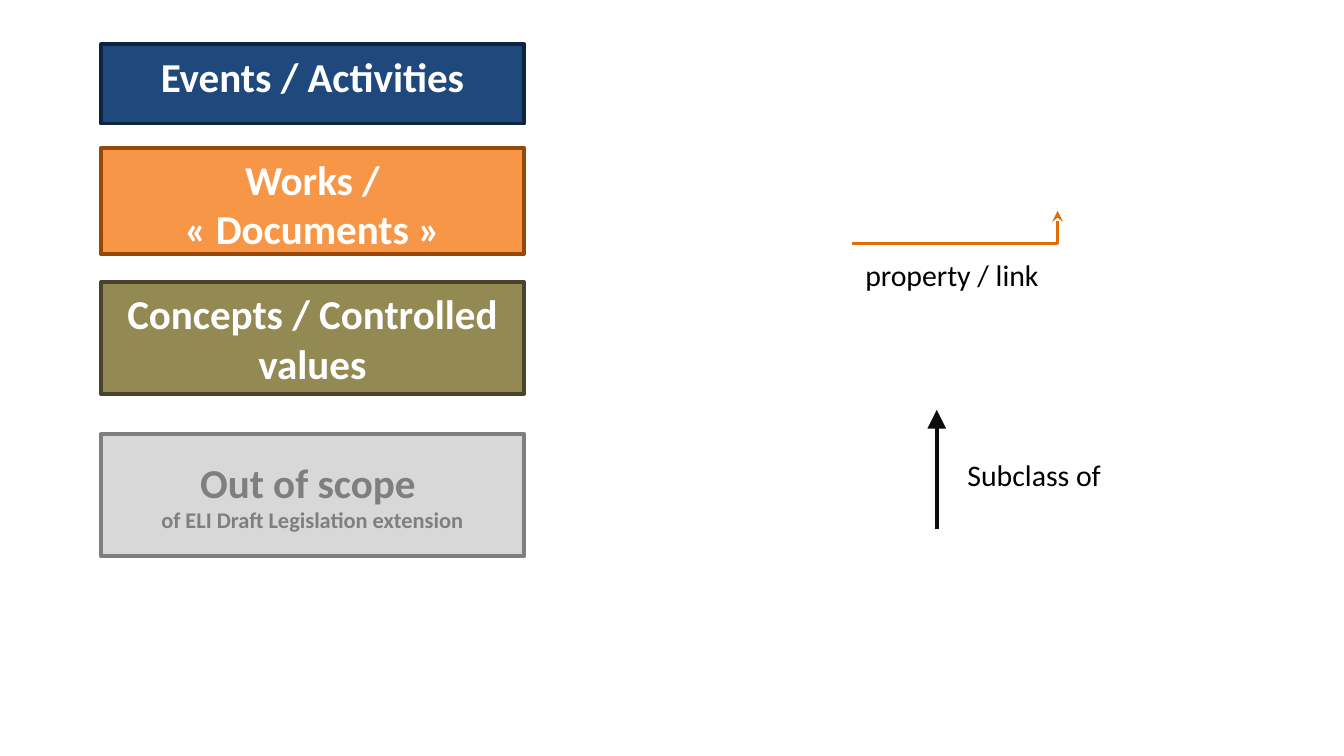
from lxml import etree
from pptx import Presentation
from pptx.dml.color import RGBColor
from pptx.enum.shapes import MSO_CONNECTOR, MSO_SHAPE
from pptx.enum.text import MSO_ANCHOR, PP_ALIGN
from pptx.oxml.ns import qn
from pptx.util import Pt

RECT = MSO_SHAPE.RECTANGLE
STRAIGHT, ELBOW = MSO_CONNECTOR.STRAIGHT, MSO_CONNECTOR.ELBOW
TOP, MIDDLE = MSO_ANCHOR.TOP, MSO_ANCHOR.MIDDLE
LEFT, CENTER = PP_ALIGN.LEFT, PP_ALIGN.CENTER
SCALE = 4572
FONT = "Calibri"
NBSP = chr(160)
CLASSES = [
    (0, 118, "1F497D", "0F243E", "Events / Activities"),
    (354, 166, "938953", "494429", "Concepts / Controlled values"),
    (154, 158, "F79646", "974806", f"Works / «{NBSP}Documents{NBSP}»"),
]


def px(*sizes):
    """Turn px lengths into EMU."""
    return [size * SCALE for size in sizes]


def color(code):
    """Turn a hex string into a colour."""
    return RGBColor.from_string(code)


def write(shape, *lines, ink="000000", bold=False, align=LEFT, anchor=TOP):
    """Fill a shape with (text, size) lines in one format."""
    frame = shape.text_frame
    frame.word_wrap = True
    frame.vertical_anchor = anchor
    for index, (text, size) in enumerate(lines):
        para = frame.add_paragraph() if index else frame.paragraphs[0]
        para.alignment = align
        run = para.add_run()
        run.text = text
        font = run.font
        font.name, font.size, font.bold = FONT, Pt(size), bold
        font.color.rgb = color(ink)


def block(slide, box, fill, edge, *lines, **style):
    """Draw a filled, outlined class box with bold centred text."""
    shape = slide.shapes.add_shape(RECT, *px(*box))
    shape.shadow.inherit = False
    shape.fill.solid()
    shape.fill.fore_color.rgb = color(fill)
    shape.line.color.rgb = color(edge)
    shape.line.width = Pt(2)
    write(shape, *lines, bold=True, align=CENTER, **style)


def label(slide, box, text):
    """Place a legend caption."""
    write(slide.shapes.add_textbox(*px(*box)), (text, 16))


def arrow(slide, kind, ends, ink, width, head, size):
    """Draw a connector with an arrowhead at its end."""
    link = slide.shapes.add_connector(kind, *px(*ends))
    link.line.color.rgb = color(ink)
    link.line.width = Pt(width)
    props = link._element.spPr
    etree.SubElement(props.find(qn("a:ln")), qn("a:tailEnd"),
                     type=head, w=size, len=size)
    etree.SubElement(props, qn("a:effectLst"))
    if kind == ELBOW:
        props.find(qn("a:prstGeom")).set("prst", "bentConnector2")


def classes(slide, x, y, w):
    """Stack the class boxes of the legend."""
    for top, h, fill, edge, text in CLASSES:
        block(slide, (x, y + top, w, h), fill, edge, (text, 22), ink="FFFFFF")
    block(slide, (x, y + 580, w, 182), "D8D8D8", "7F7F7F",
          ("Out of scope ", 22), ("of ELI Draft Legislation extension", 12),
          ink="7F7F7F", anchor=MIDDLE)


def links(slide, x, y, w):
    """Place the two arrow samples with their captions."""
    arrow(slide, ELBOW, (x, y + 48, x + 306, y), "E36C09", 1.5,
          "stealth", "med")
    label(slide, (x, y + 58, w, 56), "property / link")
    arrow(slide, STRAIGHT, (x + 126, y + 474, x + 126, y + 296),
          "0C0C0C", 2, "triangle", "lg")
    label(slide, (x + 152, y + 356, w, 56), "Subclass of")


def main():
    """Build and save the legend slide."""
    deck = Presentation()
    deck.slide_width, deck.slide_height = px(2000, 1125)
    slide = deck.slides.add_slide(deck.slide_layouts[6])
    classes(slide, 150, 66, 630)
    links(slide, 1268, 314, 512)
    deck.save("out.pptx")


if __name__ == "__main__":
    main()
